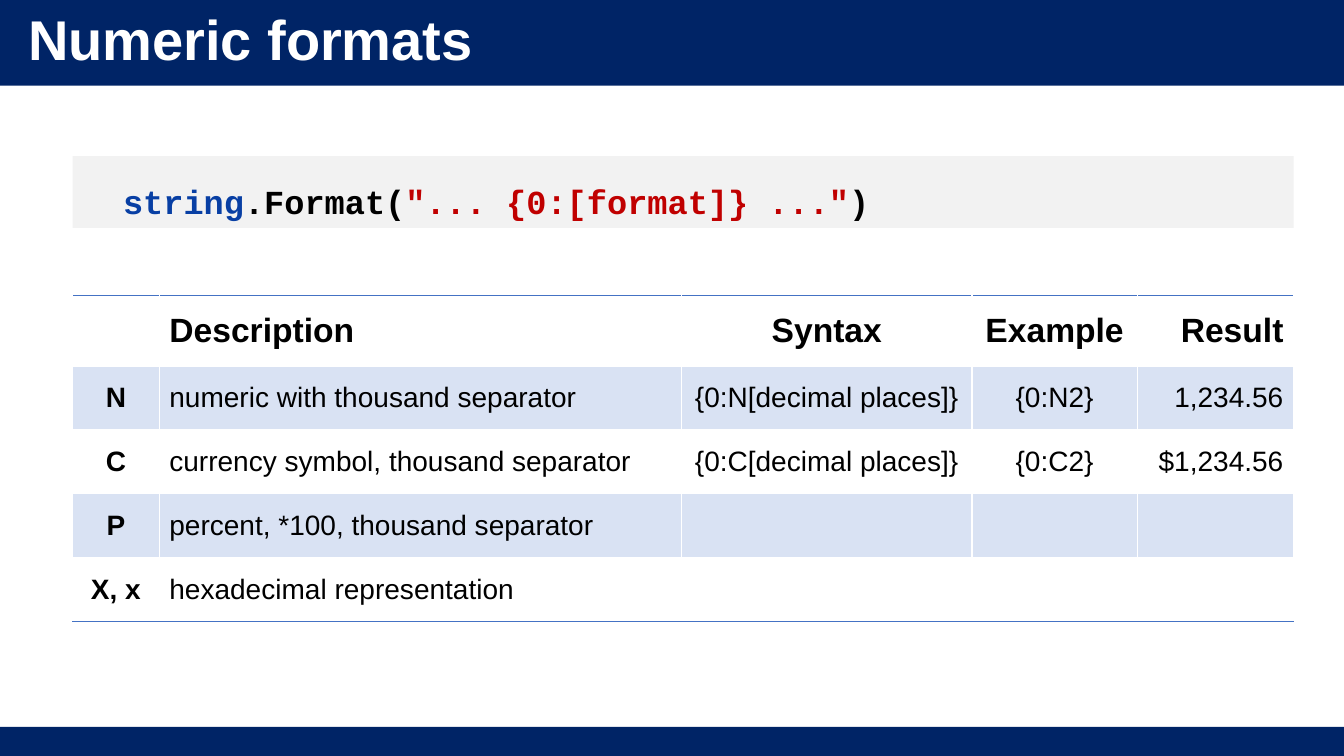
from lxml import etree
from pptx import Presentation
from pptx import util as u
from pptx.dml.color import RGBColor
from pptx.enum import shapes, text
from pptx.oxml import ns

# Content
TITLE = "Numeric formats"
CODE = [("string", "keyword"), (".Format(", "ink"),
        ('"... {0:[format]} ..."', "literal"), (")", "ink")]
HEADER = ["", "Description", "Syntax", "Example", "Result"]
FORMATS = [
    ["N", "numeric with thousand separator", "{0:N[decimal places]}", "{0:N2}", "1,234.56"],
    ["C", "currency symbol, thousand separator", "{0:C[decimal places]}", "{0:C2}", "$1,234.56"],
    ["P", "percent, *100, thousand separator", "", "", ""],
    ["X, x", "hexadecimal representation", "", "", ""],
]

# Theme and layout, in inches and points
THEME = dict(navy="002466", white="FFFFFF", ink="000000", keyword="083FA4",
             literal="C00000", panel="F2F2F2", accent="4472C4",
             sans="Arial", mono="Courier New",
             title_size=40, code_size=24, header_size=24, body_size=20)
WIDTH, HEIGHT = 13.33, 7.5
LEFT, CONTENT_W = 0.72, 12.11
COLUMNS = [0.86, 5.18, 2.88, 1.64, 1.55]
HEADER_H, ROW_H = 0.67, 0.61
BAND_OPACITY = 20
P = text.PP_ALIGN
ALIGNS = [P.CENTER, P.LEFT, P.CENTER, P.CENTER, P.RIGHT]

deck = Presentation()
deck.slide_width, deck.slide_height = u.Inches(WIDTH), u.Inches(HEIGHT)
slide = deck.slides.add_slide(deck.slide_layouts[6])


def colour(name):
    return RGBColor.from_string(THEME[name])


def box(*place):
    return [u.Inches(length) for length in place]


def bar(fill, *place):
    shape = slide.shapes.add_shape(shapes.MSO_SHAPE.RECTANGLE, *box(*place))
    shape.shadow.inherit = False
    shape.fill.solid()
    shape.fill.fore_color.rgb = colour(fill)
    shape.line.fill.background()
    return shape


def add_run(paragraph, words, size, ink="ink", face="sans", bold=True):
    run = paragraph.add_run()
    run.text = words
    run.font.name, run.font.size, run.font.bold = THEME[face], u.Pt(THEME[size]), bold
    run.font.color.rgb = colour(ink)


def add_colour(parent, name, opacity=100):
    fill = etree.SubElement(parent, ns.qn("a:solidFill"))
    value = etree.SubElement(fill, ns.qn("a:srgbClr"), val=THEME[name])
    if opacity < 100:
        etree.SubElement(value, ns.qn("a:alpha"), val=str(opacity * 1000))


def style_cell(cell, rules, banded):
    properties = cell._tc.get_or_add_tcPr()
    for side in rules:
        add_colour(etree.SubElement(properties, ns.qn("a:" + side), w=str(u.Pt(1))), "accent")
    if banded:
        add_colour(properties, "accent", BAND_OPACITY)
    else:
        cell.fill.background()


# Title and footer bars
bar("navy", 0, 0, WIDTH, 0.85)
bar("navy", 0, 7.21, WIDTH, 0.29)
title = slide.shapes.add_textbox(*box(0.18, 0.14, 7.82, 0.57)).text_frame
title.word_wrap = True
title.vertical_anchor = text.MSO_ANCHOR.MIDDLE
title.paragraphs[0].line_spacing = 0.9
add_run(title.paragraphs[0], TITLE, "title_size", "white")

# Format table
rows = [HEADER] + FORMATS
table = slide.shapes.add_table(
    len(rows), len(COLUMNS),
    *box(LEFT, 2.93, CONTENT_W, HEADER_H + ROW_H * len(FORMATS))).table
table.first_row = table.horz_banding = False
for column, width in zip(table.columns, COLUMNS):
    column.width = u.Inches(width)
for r, row in enumerate(rows):
    is_header = r == 0
    table.rows[r].height = u.Inches(HEADER_H if is_header else ROW_H)
    rules = ["lnT", "lnB"] if is_header else ["lnB"] if r == len(FORMATS) else []
    for c, words in enumerate(row):
        cell = table.cell(r, c)
        cell.vertical_anchor = text.MSO_ANCHOR.MIDDLE
        cell.margin_left = cell.margin_right = u.Inches(0.1)
        cell.margin_top = cell.margin_bottom = u.Inches(0.15)
        style_cell(cell, rules, banded=r % 2 == 1)
        if words:
            paragraph = cell.text_frame.paragraphs[0]
            paragraph.alignment = ALIGNS[c]
            add_run(paragraph, words, "header_size" if is_header else "body_size",
                    bold=is_header or c == 0)

# Code panel
code = bar("panel", LEFT, 1.55, CONTENT_W, 0.71).text_frame
code.word_wrap = True
code.vertical_anchor = text.MSO_ANCHOR.TOP
code.margin_left = u.Inches(0.5)
call = code.paragraphs[0]
call.alignment = P.LEFT
call.line_spacing = 1.5
for words, ink in CODE:
    add_run(call, words, "code_size", ink, "mono")

deck.save("out.pptx")
